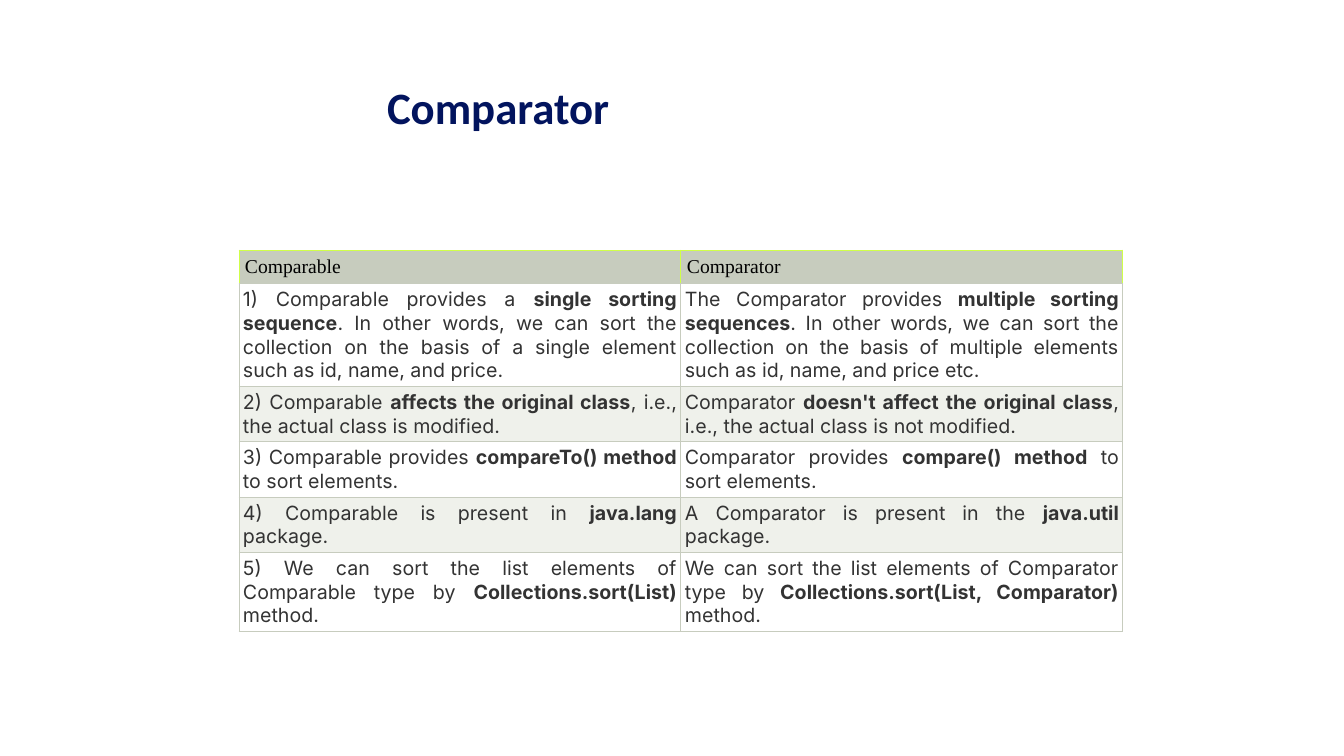
import pptx
import pptx.dml.color
import pptx.enum.text
import pptx.oxml
import pptx.oxml.ns
import pptx.util

EMU_PER_PX = 914400 / 100.8
GREY, LIME = "C7CCBE", "D0FF49"
HEADINGS = ["Comparable", "Comparator"]
COL_W = 442
HEADER_H = 33

# Row height, then one (plain, bold, plain) text for each column
ROWS = [
    (102,
     ("1) Comparable provides a ", "single sorting sequence",
      ". In other words, we can sort the collection on the basis of "
      "a single element such as id, name, and price."),
     ("The Comparator provides ", "multiple sorting sequences",
      ". In other words, we can sort the collection on the basis of "
      "multiple elements such as id, name, and price etc.")),
    (55,
     ("2) Comparable ", "affects the original class",
      ", i.e., the actual class is modified."),
     ("Comparator ", "doesn't affect the original class",
      ", i.e., the actual class is not modified.")),
    (55,
     ("3) Comparable provides ", "compareTo() method", " to sort elements."),
     ("Comparator provides ", "compare() method", " to sort elements.")),
    (55,
     ("4) Comparable is present in ", "java.lang", " package."),
     ("A Comparator is present in the ", "java.util", " package.")),
    (78,
     ("5) We can sort the list elements of Comparable type by ",
      "Collections.sort(List)", " method."),
     ("We can sort the list elements of Comparator type by ",
      "Collections.sort(List, Comparator)", " method.")),
]


def px(n):
    return pptx.util.Emu(round(n * EMU_PER_PX))


def rgb(color):
    return pptx.dml.color.RGBColor.from_string(color)


def add_run(p, text, font, size, color, bold=False):
    r = p.add_run()
    r.text = text
    r.font.name = font
    r.font.size = pptx.util.Pt(size)
    r.font.bold = bold
    r.font.color.rgb = rgb(color)


def add_title(s, text, x, y, w, h):
    tf = s.shapes.add_textbox(px(x), px(y), px(w), px(h)).text_frame
    tf.word_wrap = True
    tf.margin_left = tf.margin_top = tf.margin_right = tf.margin_bottom = 0
    add_run(tf.paragraphs[0], text, "Calibri", 32, "02145E", bold=True)


def style_cell(cell, fill, inset, edge):
    cell.margin_left = cell.margin_right = px(inset)
    cell.margin_top = cell.margin_bottom = px(inset)
    # Borders come before the fill in the cell properties
    tcPr = cell._tc.get_or_add_tcPr()
    for side, color in (("L", edge), ("R", edge), ("T", edge), ("B", GREY)):
        tcPr.append(pptx.oxml.parse_xml(
            f'<a:ln{side} {pptx.oxml.ns.nsdecls("a")} w="9525"><a:solidFill>'
            f'<a:srgbClr val="{color}"/></a:solidFill></a:ln{side}>'))
    cell.fill.solid()
    cell.fill.fore_color.rgb = rgb(fill)


def add_comparison(s, x, y):
    heights = [HEADER_H] + [row[0] for row in ROWS]
    frame = s.shapes.add_table(len(heights), len(HEADINGS), px(x), px(y),
                               px(COL_W * len(HEADINGS)), px(sum(heights)))
    table = frame.table
    table.first_row = table.horz_banding = False
    for col in table.columns:
        col.width = px(COL_W)
    for row, height in zip(table.rows, heights):
        row.height = px(height)

    # Header row
    for c, heading in enumerate(HEADINGS):
        cell = table.cell(0, c)
        style_cell(cell, GREY, 6, LIME)
        add_run(cell.text_frame.paragraphs[0], heading,
                "Times New Roman", 14, "000000")

    # Body rows, shaded in turn
    for i, (_, *texts) in enumerate(ROWS):
        for c, parts in enumerate(texts):
            cell = table.cell(i + 1, c)
            style_cell(cell, ("FFFFFF", "EFF1EB")[i % 2], 4, GREY)
            p = cell.text_frame.paragraphs[0]
            p.alignment = pptx.enum.text.PP_ALIGN.JUSTIFY
            for k, part in enumerate(parts):
                add_run(p, part, "Inter", 14, "333333", bold=k == 1)


def main():
    prs = pptx.Presentation()
    prs.slide_width, prs.slide_height = px(1344), px(756)
    s = prs.slides.add_slide(prs.slide_layouts[6])
    add_comparison(s, 239, 250)
    add_title(s, "Comparator", 387, 80, 572, 100)
    prs.save("out.pptx")


if __name__ == "__main__":
    main()
